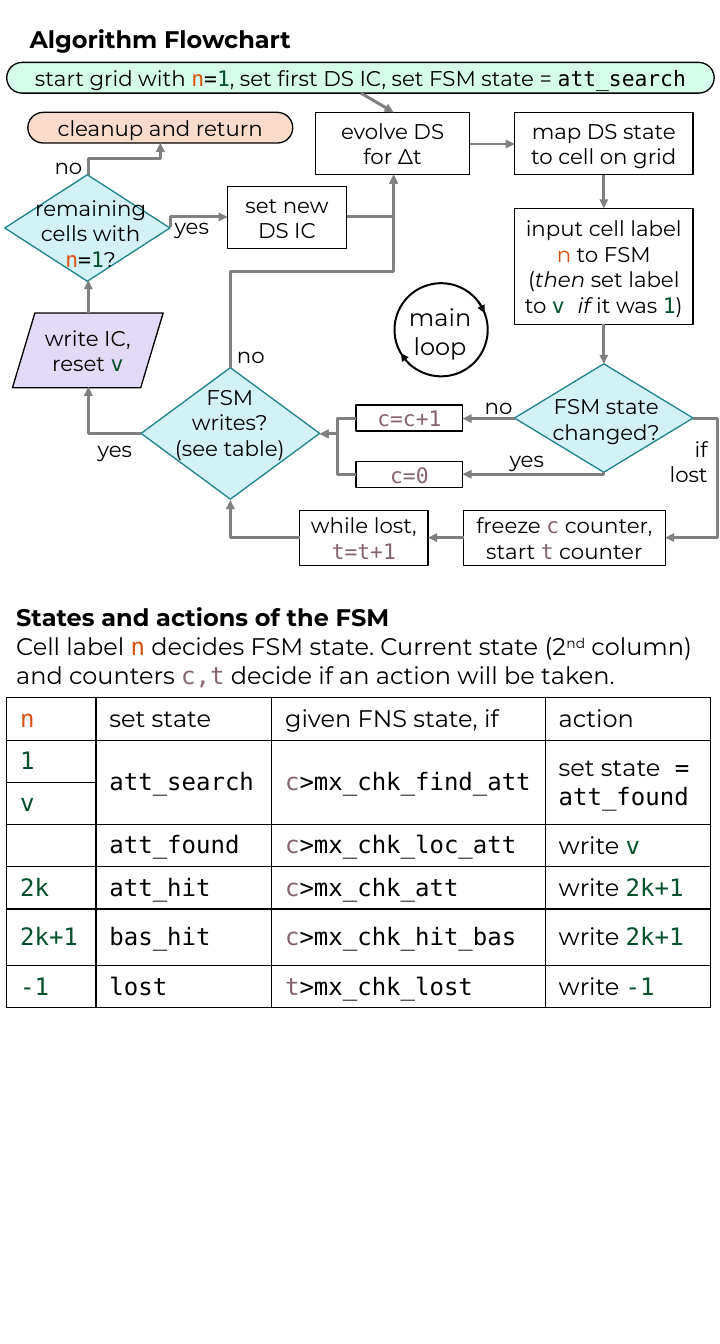
from lxml.etree import SubElement
from pptx import Presentation
from pptx.dml.color import RGBColor
from pptx.enum.shapes import MSO_CONNECTOR as LINK, MSO_SHAPE as SHAPE
from pptx.enum.text import MSO_ANCHOR as ANCHOR, MSO_AUTO_SIZE as AUTO, PP_ALIGN as ALIGN
from pptx.oxml.ns import qn
from pptx.util import Inches, Pt

SANS, MONO = "Montserrat", "DejaVu Sans Mono"
BLACK, GREY, WHITE = "000000", "808080", "FFFFFF"
CYAN, TEAL = "D2F2F5", "21848D"
ORANGE, GREEN, MAUVE = "DA5210", "03502A", "866373"

# A run is plain text or a (text, style) pair; a style is font, colour, extras.
STYLES = {
    "plain": (SANS, BLACK, {}),
    "bold": (SANS, BLACK, {"bold": True}),
    "italic": (SANS, BLACK, {"italic": True}),
    "super": (SANS, BLACK, {"baseline": 30000}),
    "orange": (SANS, ORANGE, {}),
    "code": (MONO, BLACK, {}),
    "cell": (MONO, ORANGE, {}),
    "value": (MONO, GREEN, {}),
    "counter": (MONO, MAUVE, {}),
}
N, V, C, T = ("n", "cell"), ("v", "value"), ("c", "counter"), ("t", "counter")
ONE = ("1", "value")

# kind, (left, top, width, height), fill, runs
STEPS = [
    (SHAPE.RECTANGLE, (3.29, 1.17, 1.6, 0.65), WHITE, ["evolve DS\nfor Δt"]),
    (SHAPE.RECTANGLE, (5.36, 1.17, 1.86, 0.65), WHITE, ["map DS state to cell on grid"]),
    (SHAPE.RECTANGLE, (5.36, 2.17, 1.86, 1.21), WHITE,
     ["input cell label ", ("n", "orange"), " to FSM\n(", ("then", "italic"), " set label to ",
      ("v ", "value"), ("if", "italic"), " it was ", ONE, ")"]),
    (SHAPE.RECTANGLE, (3.71, 4.22, 1.11, 0.27), WHITE, [("c=c+1", "counter")]),
    (SHAPE.RECTANGLE, (3.71, 4.81, 1.11, 0.27), WHITE, [("c=0", "counter")]),
    (SHAPE.RECTANGLE, (2.37, 1.94, 1.24, 0.65), WHITE, ["set new DS IC"]),
    (SHAPE.RECTANGLE, (4.83, 5.32, 2.1, 0.57), WHITE, ["freeze ", C, " counter, start ", T, " counter"]),
    (SHAPE.RECTANGLE, (3.12, 5.32, 1.34, 0.57), WHITE, ["while lost, ", ("t=t+1", "counter")]),
    (SHAPE.ROUNDED_RECTANGLE, (0.07, 0.65, 7.37, 0.32), "D6FDEA",
     ["start grid with ", N, ("=", "code"), ONE, ", set first DS IC, set FSM state = ",
      ("att_search", "code")]),
    (SHAPE.ROUNDED_RECTANGLE, (0.29, 1.17, 2.76, 0.32), "FBDBCC", ["cleanup and return"]),
    (SHAPE.PARALLELOGRAM, (0.13, 3.26, 1.57, 0.78), "E2DAF6", ["write IC, reset ", V]),
]
CORNERS = {SHAPE.ROUNDED_RECTANGLE: 0.5, SHAPE.PARALLELOGRAM: 0.3}

# diamond place, text place, runs
DECISIONS = [
    ((5.36, 3.79, 1.86, 1.13), (5.45, 4.05, 1.73, 0.64), ["FSM state\nchanged?"]),
    ((1.47, 3.83, 1.86, 1.37), (1.53, 3.95, 1.73, 0.91), ["FSM\nwrites?\n(see table)"]),
    ((0.05, 1.82, 1.72, 1.11), (0.08, 1.98, 1.73, 0.91),
     ["remaining\ncells with\n", N, ("=", "code"), ONE, "?"]),
]

STRAIGHT_ARROWS = [
    ((4.9, 1.5), (5.36, 1.5)), ((6.29, 1.82), (6.29, 2.17)), ((6.29, 3.38), (6.29, 3.79)),
    ((5.36, 4.36), (4.82, 4.36)), ((0.92, 3.26), (0.92, 2.92)), ((3.76, 0.97), (4.1, 1.17)),
    ((4.83, 5.6), (4.46, 5.6)),
]

# start, end, turn in degrees, place of the middle leg (None: a single corner)
BENT_ARROWS = [
    ((2.4, 3.83), (4.1, 1.82), 90, 0.5),
    ((1.47, 4.52), (0.92, 4.03), 180, None),
    ((3.61, 2.26), (4.1, 1.82), 0, None),
    ((0.92, 1.82), (1.67, 1.49), 90, 0.5),
    ((7.22, 4.36), (6.93, 5.6), 0, -0.86),
    ((3.12, 5.6), (2.4, 5.21), 180, None),
    ((6.29, 4.92), (4.82, 4.94), 90, None),
    ((1.78, 2.37), (2.37, 2.26), 0, 0),
    ((3.71, 4.94), (3.33, 4.52), 180, 0.5),
    ((3.71, 4.36), (3.33, 4.52), 180, 0.5),
]

LABELS = [
    ("no", (4.95, 4.05, 0.55, 0.37), ALIGN.LEFT), ("no", (2.37, 3.52, 0.52, 0.37), ALIGN.LEFT),
    ("yes", (5.21, 4.6, 0.76, 0.37), ALIGN.LEFT), ("yes", (0.92, 4.49, 0.57, 0.37), ALIGN.LEFT),
    ("yes", (1.72, 2.17, 0.85, 0.37), ALIGN.LEFT), ("no", (0.47, 1.55, 0.78, 0.37), ALIGN.LEFT),
    ("if\nlost", (6.71, 4.49, 0.76, 0.64), ALIGN.RIGHT),
]

# rotation, start angle, end angle in degrees
LOOP_ARCS = [(337.3, 162.5, 1.8), (150, 173.3, 0)]

TITLE = [("Algorithm Flowchart", "bold")]
INTRO = [("States and actions of the FSM\n", "bold"), "Cell label ", N,
         " decides FSM state. Current state (2", ("nd", "super"), " column)\nand counters ",
         ("c,t", "counter"), " decide if an action will be taken."]

COLUMNS = [0.93, 1.83, 2.85, 1.72]
ROWS = [0.44, 0.44, 0.44, 0.44, 0.44, 0.59, 0.44]
TABLE = [
    [[N], ["set state"], ["given FNS state, if"], ["action"]],
    [[ONE], [("att_search", "code")], [C, (">mx_chk_find_att", "code")],
     ["set state", (" = att_found", "code")]],
    [[V], [], [], []],
    [[], [("att_found", "code")], [C, (">mx_chk_loc_att", "code")], ["write ", V]],
    [[("2k", "value")], [("att_hit", "code")], [C, (">mx_chk_att", "code")], ["write ", ("2k+1", "value")]],
    [[("2k+1", "value")], [("bas_hit", "code")], [C, (">mx_chk_hit_bas", "code")],
     ["write ", ("2k+1", "value")]],
    [[("-1", "value")], [("lost", "code")], [T, (">mx_chk_lost", "code")], ["write ", ("-1", "value")]],
]


def color(value):
    return RGBColor.from_string(value)


def write(frame, runs, size=16, align=ALIGN.LEFT, anchor=ANCHOR.TOP):
    frame.word_wrap = True
    frame.vertical_anchor = anchor
    para = frame.paragraphs[0]
    para.alignment = align
    for run in runs:
        text, style = (run, "plain") if isinstance(run, str) else run
        name, ink, extras = STYLES[style]
        for index, line in enumerate(text.split("\n")):
            if index:
                para.add_line_break()
            if not line:
                continue
            span = para.add_run()
            span.text = line
            span.font.name, span.font.size = name, Pt(size)
            span.font.color.rgb = color(ink)
            span.font.bold, span.font.italic = extras.get("bold"), extras.get("italic")
            if "baseline" in extras:
                span._r.get_or_add_rPr().set("baseline", str(extras["baseline"]))


def add_text(shapes, place, runs, **style):
    box = shapes.add_textbox(*map(Inches, place))
    write(box.text_frame, runs, **style)
    box.text_frame.auto_size = AUTO.SHAPE_TO_FIT_TEXT


def add_box(shapes, kind, place, fill=None, line=BLACK, width=1):
    box = shapes.add_shape(kind, *map(Inches, place))
    box.shadow.inherit = False
    if fill:
        box.fill.solid()
        box.fill.fore_color.rgb = color(fill)
    else:
        box.fill.background()
    box.line.color.rgb, box.line.width = color(line), Pt(width)
    return box


def add_arrowhead(shape):
    SubElement(shape.line._get_or_add_ln(), qn("a:tailEnd"), type="triangle")


def add_arrow(shapes, kind, start, end):
    arrow = shapes.add_connector(kind, *map(Inches, (*start, *end)))
    arrow.line.color.rgb, arrow.line.width = color(GREY), Pt(2.25)
    add_arrowhead(arrow)
    SubElement(arrow._element.spPr, qn("a:effectLst"))
    return arrow


def add_bent_arrow(shapes, start, end, turn, middle):
    """Lay the elbow out unturned about its centre, then turn it clockwise."""
    (x1, y1), (x2, y2) = start, end
    dx, dy = x2 - x1, y2 - y1
    u, v = {0: (dx, dy), 90: (dy, -dx), 180: (-dx, -dy)}[turn]
    cx, cy = (x1 + x2) / 2, (y1 + y2) / 2
    arrow = add_arrow(shapes, LINK.ELBOW, (cx - u / 2, cy - v / 2), (cx + u / 2, cy + v / 2))
    properties = arrow._element.spPr
    if turn:
        properties.find(qn("a:xfrm")).set("rot", str(turn * 60000))
    geometry = properties.find(qn("a:prstGeom"))
    if middle is None:
        geometry.set("prst", "bentConnector2")
    else:
        SubElement(geometry.find(qn("a:avLst")), qn("a:gd"), name="adj1",
                   fmla=f"val {round(middle * 100000)}")


def add_state_table(shapes):
    place = (0.07, 7.27, sum(COLUMNS), sum(ROWS))
    table = shapes.add_table(len(ROWS), len(COLUMNS), *map(Inches, place)).table
    table.first_row = table.horz_banding = False
    for column, width in zip(table.columns, COLUMNS):
        column.width = Inches(width)
    for row, height in zip(table.rows, ROWS):
        row.height = Inches(height)
    for r, cells in enumerate(TABLE):
        for c, runs in enumerate(cells):
            cell = table.cell(r, c)
            write(cell.text_frame, runs, size=18)
            cell.vertical_anchor = ANCHOR.MIDDLE
            cell.margin_left = cell.margin_right = Inches(0.14)
            cell.margin_top = cell.margin_bottom = Inches(0.07)
            for side in "LRTB":
                edge = SubElement(cell._tc.get_or_add_tcPr(), qn(f"a:ln{side}"), w=str(Pt(1)))
                SubElement(SubElement(edge, qn("a:solidFill")), qn("a:srgbClr"), val=BLACK)
            cell.fill.background()
    for c in range(1, len(COLUMNS)):
        table.cell(1, c).merge(table.cell(2, c))


def main():
    deck = Presentation()
    deck.slide_width, deck.slide_height = Inches(7.5), Inches(14)
    shapes = deck.slides.add_slide(deck.slide_layouts[6]).shapes
    add_text(shapes, (0.07, 6.23, 7.33, 1.01), INTRO, size=18)
    add_state_table(shapes)
    add_text(shapes, (0.21, 0.21, 7.18, 0.4), TITLE, size=18)
    for kind, place, fill, runs in STEPS:
        box = add_box(shapes, kind, place, fill)
        if kind in CORNERS:
            box.adjustments[0] = CORNERS[kind]
        write(box.text_frame, runs, align=ALIGN.CENTER, anchor=ANCHOR.MIDDLE)
    for place, text_place, runs in DECISIONS:
        group = shapes.add_group_shape().shapes
        add_box(group, SHAPE.DIAMOND, place, CYAN, TEAL)
        add_text(group, text_place, runs, align=ALIGN.CENTER)
    for start, end in STRAIGHT_ARROWS:
        add_arrow(shapes, LINK.STRAIGHT, start, end)
    for bend in BENT_ARROWS:
        add_bent_arrow(shapes, *bend)
    for text, place, align in LABELS:
        add_text(shapes, place, [text], align=align)
    loop = shapes.add_group_shape().shapes
    for rotation, *angles in LOOP_ARCS:
        arc = add_box(loop, SHAPE.ARC, (4.11, 2.95, 0.97, 0.97), width=1.5)
        arc.rotation = rotation
        for index, angle in enumerate(angles):
            arc.adjustments[index] = angle * 0.6  # 60000ths of a degree over 100000
        add_arrowhead(arc)
    add_text(loop, (3.97, 3.1, 1.23, 0.71), ["main\nloop"], size=18, align=ALIGN.CENTER)
    deck.save("out.pptx")


if __name__ == "__main__":
    main()
